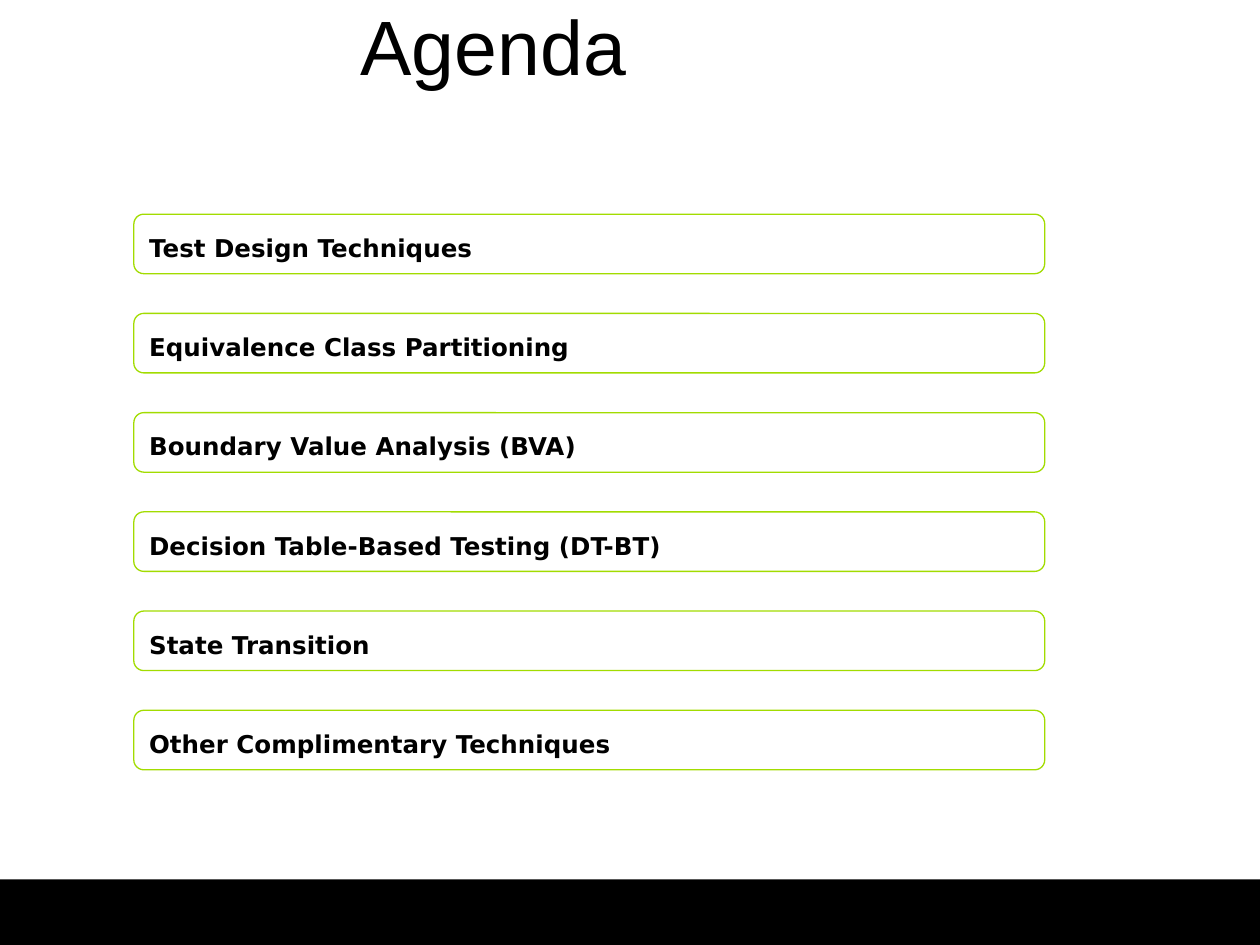
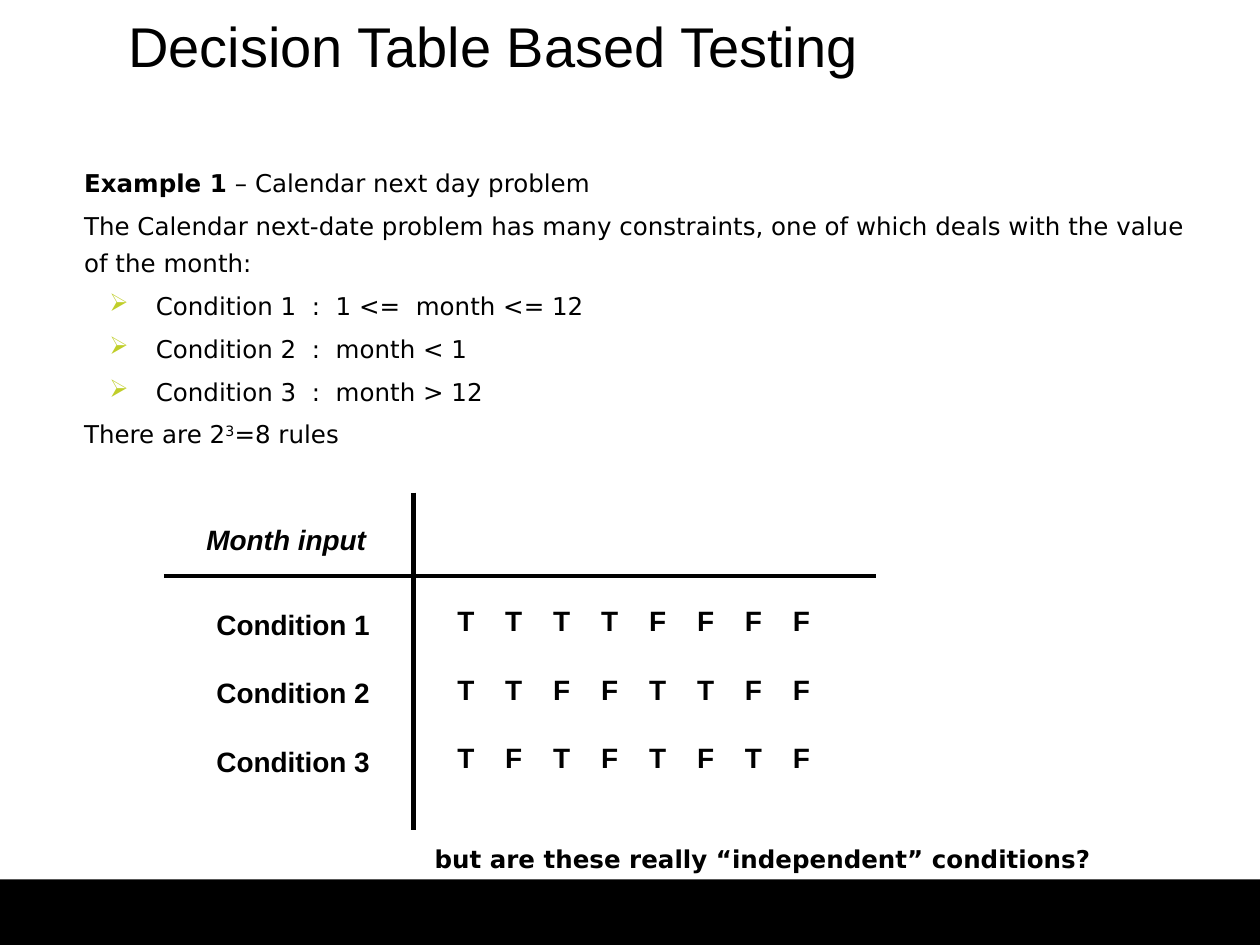
import pptx
import pptx.util
import pptx.dml.color
import pptx.enum.shapes
import pptx.enum.text
import pptx.oxml.ns
from lxml import etree

Pt = pptx.util.Pt
Shape = pptx.enum.shapes.MSO_SHAPE
Align = pptx.enum.text.PP_ALIGN
Anchor = pptx.enum.text.MSO_ANCHOR

BLACK, LIME, BULLET = "000000", "A2DC00", "C0CE29"
HEADING_FONT, BODY_FONT = "Arial", "DejaVu Sans"
SLIDE_WIDTH, SLIDE_HEIGHT, BAND_TOP = 720, 540, 502.5


def color(value):
    return pptx.dml.color.RGBColor.from_string(value)


def add_xml(parent, tag, **attributes):
    return etree.SubElement(parent, pptx.oxml.ns.qn(tag), attributes)


class Builder:
    def __init__(self):
        self.deck = pptx.Presentation()
        self.deck.slide_width = Pt(SLIDE_WIDTH)
        self.deck.slide_height = Pt(SLIDE_HEIGHT)
        self.page = None

    def add_page(self, title, size):
        """Start a slide with the shared footer band and title."""
        self.page = self.deck.slides.add_slide(self.deck.slide_layouts[6])
        self.shape(Shape.RECTANGLE, 0, BAND_TOP, SLIDE_WIDTH,
                   SLIDE_HEIGHT - BAND_TOP, fill=BLACK)
        box = self.text(-24, -8.5, 612, 68.5, [title], size, HEADING_FONT)
        box.text_frame.vertical_anchor = Anchor.MIDDLE
        box.text_frame.paragraphs[0].alignment = Align.CENTER

    def shape(self, kind, left, top, width, height, fill=None, line=None):
        box = self.page.shapes.add_shape(kind, Pt(left), Pt(top), Pt(width), Pt(height))
        box.shadow.inherit = False
        if fill:
            box.fill.solid()
            box.fill.fore_color.rgb = color(fill)
        else:
            box.fill.background()
        if line:
            box.line.color.rgb = color(line)
            box.line.width = Pt(0.75)
        else:
            box.line.fill.background()
        return box

    def set_lines(self, box, lines, size, font, bold=False, italic=False):
        """Fill a box; body text gets the open line spacing."""
        frame = box.text_frame
        frame.text = "\n".join(lines)
        for para in frame.paragraphs:
            para.alignment = Align.LEFT
            if font == BODY_FONT:
                para.line_spacing = 1.25
                para.space_before = Pt(3.5)
            for span in para.runs:
                self.style(span, size, font, bold, italic)

    def style(self, span, size, font, bold=False, italic=False):
        span.font.size = Pt(size)
        span.font.name = font
        span.font.bold = bold
        span.font.italic = italic
        span.font.color.rgb = color(BLACK)

    def text(self, left, top, width, height, lines, size, font,
             bold=False, italic=False, wrap=True):
        box = self.page.shapes.add_textbox(Pt(left), Pt(top), Pt(width), Pt(height))
        box.text_frame.word_wrap = wrap
        self.set_lines(box, lines, size, font, bold, italic)
        return box

    def card(self, left, top, width, height, label):
        box = self.shape(Shape.ROUNDED_RECTANGLE, left, top, width, height, line=LIME)
        box.text_frame.vertical_anchor = Anchor.MIDDLE
        self.set_lines(box, [label], 14, BODY_FONT, bold=True)

    def rule(self, start_x, start_y, end_x, end_y):
        line = self.page.shapes.add_connector(
            pptx.enum.shapes.MSO_CONNECTOR.STRAIGHT,
            Pt(start_x), Pt(start_y), Pt(end_x), Pt(end_y))
        line.line.color.rgb = color(BLACK)
        line.line.width = Pt(2.5)
        add_xml(line._element.spPr, "a:effectLst")

    def bullet(self, para):
        properties = para._p.get_or_add_pPr()
        properties.set("marL", str(Pt(41)))
        properties.set("indent", str(-Pt(26.6)))
        tint = add_xml(properties, "a:buClr")
        add_xml(tint, "a:srgbClr", val=BULLET)
        add_xml(properties, "a:buChar", char="➢")

    def tab_stops(self, para, pitch, count):
        stops = add_xml(para._p.get_or_add_pPr(), "a:tabLst")
        for number in range(1, count + 1):
            add_xml(stops, "a:tab", pos=str(Pt(pitch * number)), algn="l")


def add_agenda(builder):
    builder.add_page("Agenda", 44)
    topics = ["Test Design Techniques", "Equivalence Class Partitioning",
              "Boundary Value Analysis (BVA)", "Decision Table-Based Testing (DT-BT)",
              "State Transition", "Other Complimentary Techniques"]
    for row, topic in enumerate(topics):
        builder.card(76.5, 122.4 + 56.7 * row, 520.5, 34, topic)


def add_decision_table(builder):
    builder.add_page("Decision Table Based Testing", 32)

    # Problem statement
    box = builder.text(41, 88.5, 648, 168, [
        "Example 1",
        "The Calendar next-date problem has many constraints, "
        "one of which deals with the value of the month:",
        "Condition 1  :  1 <=  month <= 12",
        "Condition 2  :  month < 1",
        "Condition 3  :  month > 12",
        "There are 2"], 14, BODY_FONT)
    paras = box.text_frame.paragraphs
    paras[0].runs[0].font.bold = True
    for para in paras[2:5]:
        builder.bullet(para)
    for para, ending in ((paras[0], " – Calendar next day problem"),
                         (paras[5], "3"), (paras[5], "=8 rules")):
        span = para.add_run()
        span.text = ending
        builder.style(span, 14, BODY_FONT)
    paras[5].runs[1].font._element.set("baseline", "30000")

    # Table rules
    builder.rule(93.6, 329, 500.4, 329)
    builder.rule(236.2, 281.5, 236.2, 474.5)

    # Conditions and their truth values
    conditions = [f"Condition {number}" for number in (1, 2, 3)]
    truth_rows = ["\t".join(row) for row in ("TTTTFFFF", "TTFFTTFF", "TFTFTFTF")]
    labels = builder.text(116.6, 343.5, 102.3, 104, conditions, 16,
                          HEADING_FONT, bold=True, wrap=False)
    values = builder.text(254.2, 341.3, 270, 104, truth_rows, 16,
                          HEADING_FONT, bold=True)
    for column in (labels, values):
        for para in column.text_frame.paragraphs[1:]:
            para.space_before = Pt(20)
    for para in values.text_frame.paragraphs:
        builder.tab_stops(para, 27.4, 7)
    builder.text(110.9, 295.2, 105.8, 26.6, ["Month input"], 16,
                 HEADING_FONT, bold=True, italic=True, wrap=False)

    # Closing question
    builder.text(241.2, 474.5, 396.7, 28,
                 ["but are these really “independent” conditions?"],
                 14, BODY_FONT, bold=True)


def main():
    builder = Builder()
    add_agenda(builder)
    add_decision_table(builder)
    builder.deck.save("out.pptx")


if __name__ == "__main__":
    main()
